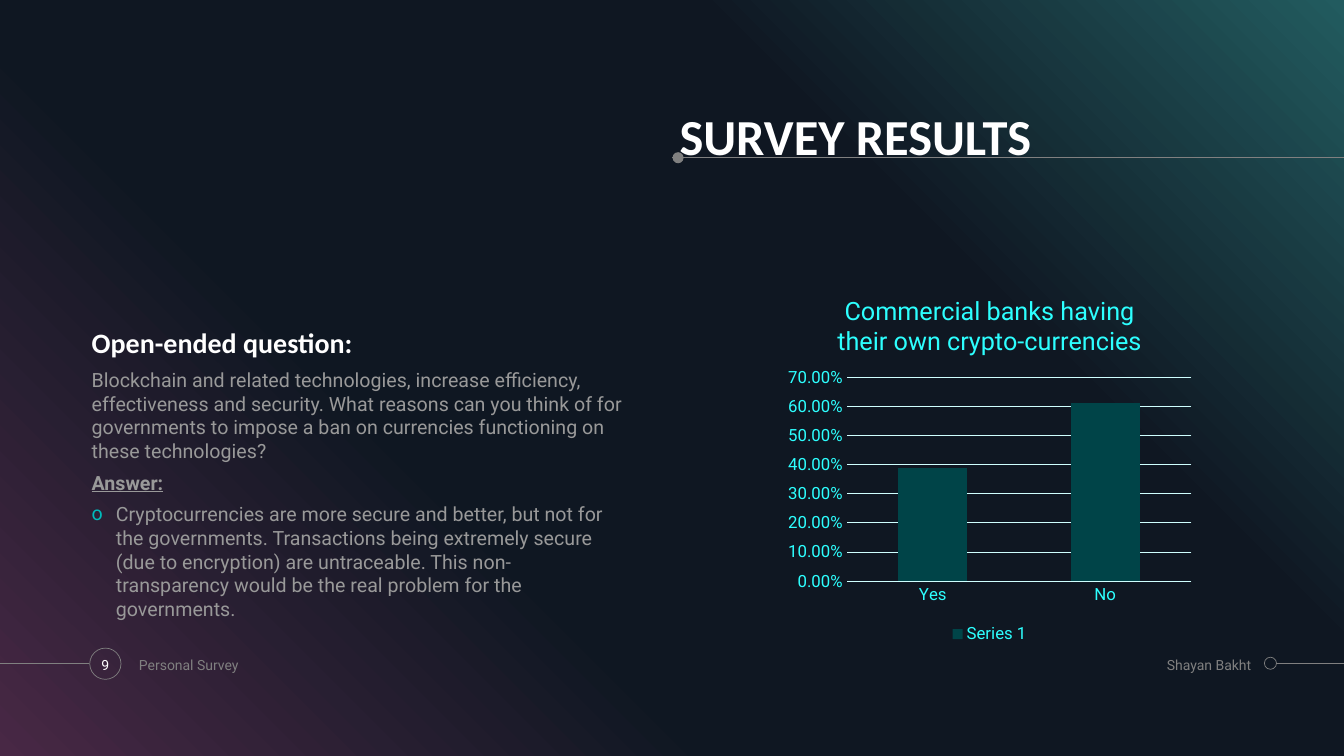
from lxml import etree
from pptx import Presentation
from pptx.chart.data import CategoryChartData
from pptx.dml.color import RGBColor
from pptx.enum.chart import XL_CHART_TYPE as ChartType, XL_LEGEND_POSITION as LegendPosition
from pptx.enum.chart import XL_TICK_MARK as TickMark
from pptx.enum.shapes import MSO_CONNECTOR as Connector, MSO_SHAPE as Preset
from pptx.enum.text import MSO_ANCHOR as Anchor, MSO_AUTO_SIZE as AutoSize, PP_ALIGN as Align
from pptx.oxml import parse_xml
from pptx.oxml.ns import nsdecls, qn
from pptx.util import Inches, Pt

COLORS = {
    "white": "FFFFFF", "body": "999999", "rule": "808080", "bullet": "00BBBB",
    "chart_text": "2DFFFF", "grid": "CFFFFF", "bar": "004448",
}
GRADIENT = [(0, "482845"), (34, "0F1722"), (69, "0F1722"), (100, "225B5F")]
GRADIENT_ANGLE = 315
WIDTH, HEIGHT = 13.33, 7.5

TITLE = "SURVEY RESULTS"
HEADING = "Open-ended question:"
QUESTION = (
    "Blockchain and related technologies, increase efficiency, effectiveness and security. "
    "What reasons can you think of for governments to impose a ban on currencies "
    "functioning on these technologies?"
)
ANSWER_LABEL = "Answer:"
ANSWER = (
    "Cryptocurrencies are more secure and better, but not for the governments. "
    "Transactions being extremely secure (due to encryption) are untraceable. "
    "This non-transparency would be the real problem for the governments."
)
CHART_TITLE = "Commercial banks having their own crypto-currencies"
CATEGORIES = ["Yes", "No"]
SERIES = ("Series 1", [0.39, 0.61])
PLOT_LAYOUT = {"x": 0.16, "y": 0.27, "w": 0.82, "h": 0.55}

RULES = [(6.67, 1.56, WIDTH, 1.56), (12.66, 6.58, WIDTH, 6.58), (0, 6.58, 0.88, 6.58)]
CIRCLES = [(6.67, 1.51, 0.11, True), (12.54, 6.52, 0.12, False), (0.89, 6.43, 0.31, False)]
FOOTERS = [
    ("9", 0.85, 0.39, "white", Align.CENTER, 0.1),
    ("Personal Survey", 1.28, 3.19, "rule", Align.LEFT, 0.1),
    ("Shayan Bakht", 10.95, 1.46, "rule", Align.RIGHT, 0),
]


def color(name):
    return RGBColor.from_string(COLORS[name])


def style(font, name, size, color_name, bold=False):
    font.name, font.size, font.bold = name, Pt(size), bold
    font.color.rgb = color(color_name)


def set_frame(frame, anchor, inset=0):
    frame.word_wrap = True
    frame.auto_size = AutoSize.NONE
    frame.vertical_anchor = anchor
    frame.margin_left = frame.margin_right = Inches(inset)
    frame.margin_top = frame.margin_bottom = Inches(inset / 2)


def add_frame(page, left, top, width, height, anchor, inset=0):
    box = page.shapes.add_textbox(Inches(left), Inches(top), Inches(width), Inches(height))
    set_frame(box.text_frame, anchor, inset)
    return box.text_frame


def add_backdrop(page):
    backdrop = page.shapes.add_shape(Preset.RECTANGLE, 0, 0, Inches(WIDTH), Inches(HEIGHT))
    backdrop.shadow.inherit = False
    backdrop.line.fill.background()
    backdrop.fill.gradient()
    stops = "".join(
        f'<a:gs pos="{position * 1000}"><a:srgbClr val="{value}"/></a:gs>'
        for position, value in GRADIENT
    )
    gradient = parse_xml(
        f'<a:gradFill {nsdecls("a")} rotWithShape="1"><a:gsLst>{stops}</a:gsLst>'
        f'<a:lin ang="{GRADIENT_ANGLE * 60000}" scaled="0"/></a:gradFill>'
    )
    properties = backdrop.element.spPr
    properties.replace(properties.find(qn("a:gradFill")), gradient)


def add_rules(page):
    for ends in RULES:
        rule = page.shapes.add_connector(Connector.STRAIGHT, *map(Inches, ends))
        rule.line.color.rgb = color("rule")
        rule.line.width = Pt(0.5)
        etree.SubElement(rule.element.spPr, qn("a:effectLst"))
    for left, top, size, filled in CIRCLES:
        circle = page.shapes.add_shape(
            Preset.OVAL, Inches(left), Inches(top), Inches(size), Inches(size))
        circle.shadow.inherit = False
        if filled:
            circle.fill.solid()
            circle.fill.fore_color.rgb = color("rule")
            circle.line.fill.background()
        else:
            circle.fill.background()
            circle.line.color.rgb = color("rule")
            circle.line.width = Pt(0.5)


def add_title(page):
    title = page.shapes.title
    title.left, title.top = Inches(6.74), Inches(1.03)
    title.width, title.height = Inches(5.81), Inches(0.62)
    set_frame(title.text_frame, Anchor.BOTTOM)
    title.text_frame.text = TITLE
    para = title.text_frame.paragraphs[0]
    para.alignment, para.line_spacing = Align.LEFT, 0.9
    style(para.runs[0].font, "Calibri", 36, "white", True)
    page.shapes.element.append(title.element)


def add_question(page):
    heading = add_frame(page, 0.91, 3.18, 3.19, 0.39, Anchor.BOTTOM)
    heading.text = HEADING
    para = heading.paragraphs[0]
    para.line_spacing, para.space_before = 0.9, Pt(6)
    style(para.runs[0].font, "Calibri", 20, "white", True)

    body = add_frame(page, 0.91, 3.65, 5.27, 2.46, Anchor.TOP)
    body.text = "\n".join([QUESTION, ANSWER_LABEL, ANSWER])
    for para in body.paragraphs:
        para.space_before = Pt(6)
        style(para.runs[0].font, "Roboto", 14, "body")
    label, answer = body.paragraphs[1:]
    label.runs[0].font.bold = label.runs[0].font.underline = True
    properties = answer._p.get_or_add_pPr()
    properties.set("marL", str(Inches(0.24)))
    properties.set("indent", str(-Inches(0.24)))
    bullet_color = etree.SubElement(properties, qn("a:buClr"))
    etree.SubElement(bullet_color, qn("a:srgbClr"), val=COLORS["bullet"])
    etree.SubElement(properties, qn("a:buFont"), typeface="Roboto")
    etree.SubElement(properties, qn("a:buChar"), char="o")


def add_footers(page):
    for text, left, width, color_name, alignment, inset in FOOTERS:
        frame = add_frame(page, left, 6.43, width, 0.33, Anchor.MIDDLE, inset)
        frame.text = text
        para = frame.paragraphs[0]
        para.alignment = alignment
        style(para.runs[0].font, "Roboto", 10, color_name)


def add_survey_chart(page):
    data = CategoryChartData(number_format="0.00%")
    data.categories = CATEGORIES
    data.add_series(*SERIES)
    chart = page.shapes.add_chart(
        ChartType.COLUMN_STACKED, Inches(7.73), Inches(2.75), Inches(4.17), Inches(3.68), data
    ).chart
    style(chart.font, "Roboto", 12, "chart_text")
    chart.has_title = True
    chart.chart_title.include_in_layout = False
    chart.chart_title.text_frame.text = CHART_TITLE
    style(chart.chart_title.text_frame.paragraphs[0].runs[0].font, "Roboto", 18, "chart_text")
    chart.has_legend = True
    chart.legend.position = LegendPosition.BOTTOM
    chart.legend.include_in_layout = False
    style(chart.legend.font, "Roboto", 12, "chart_text")

    for axis in (chart.category_axis, chart.value_axis):
        axis.major_tick_mark = axis.minor_tick_mark = TickMark.NONE
        axis.format.line.fill.background()
        style(axis.tick_labels.font, "Roboto", 12, "chart_text")
    values = chart.value_axis
    values.minimum_scale, values.maximum_scale, values.major_unit = 0, 0.7, 0.1
    values.tick_labels.number_format = "0.00%"
    values.tick_labels.number_format_is_linked = False
    values.major_gridlines.format.line.color.rgb = color("grid")
    values.major_gridlines.format.line.width = Pt(0.75)

    plot = chart.plots[0]
    plot.gap_width, plot.overlap, plot.vary_by_categories = 150, 100, False
    bars = plot.series[0].format.fill
    bars.solid()
    bars.fore_color.rgb = color("bar")

    area = chart._chartSpace.find(".//" + qn("c:plotArea"))
    for old in area.findall(qn("c:layout")):
        area.remove(old)
    sizes = "".join(f'<c:{key} val="{value}"/>' for key, value in PLOT_LAYOUT.items())
    area.insert(0, parse_xml(
        f'<c:layout {nsdecls("c")}><c:manualLayout><c:layoutTarget val="inner"/>'
        f'<c:xMode val="edge"/><c:yMode val="edge"/>{sizes}</c:manualLayout></c:layout>'
    ))


def main():
    deck = Presentation()
    deck.slide_width, deck.slide_height = Inches(WIDTH), Inches(HEIGHT)
    page = deck.slides.add_slide(deck.slide_layouts[5])
    for add_part in (add_backdrop, add_rules, add_title, add_question, add_footers, add_survey_chart):
        add_part(page)
    deck.save("out.pptx")


if __name__ == "__main__":
    main()
